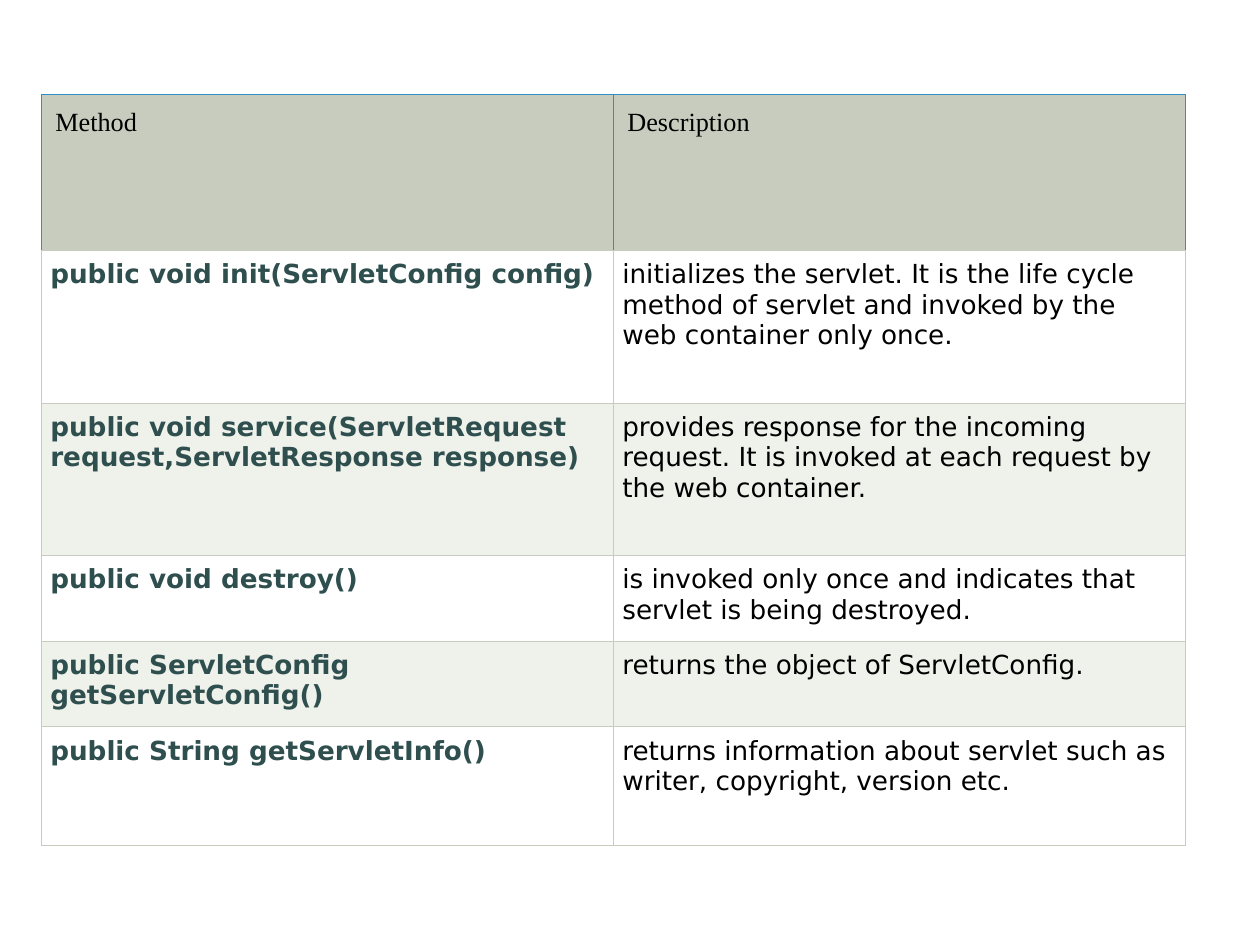
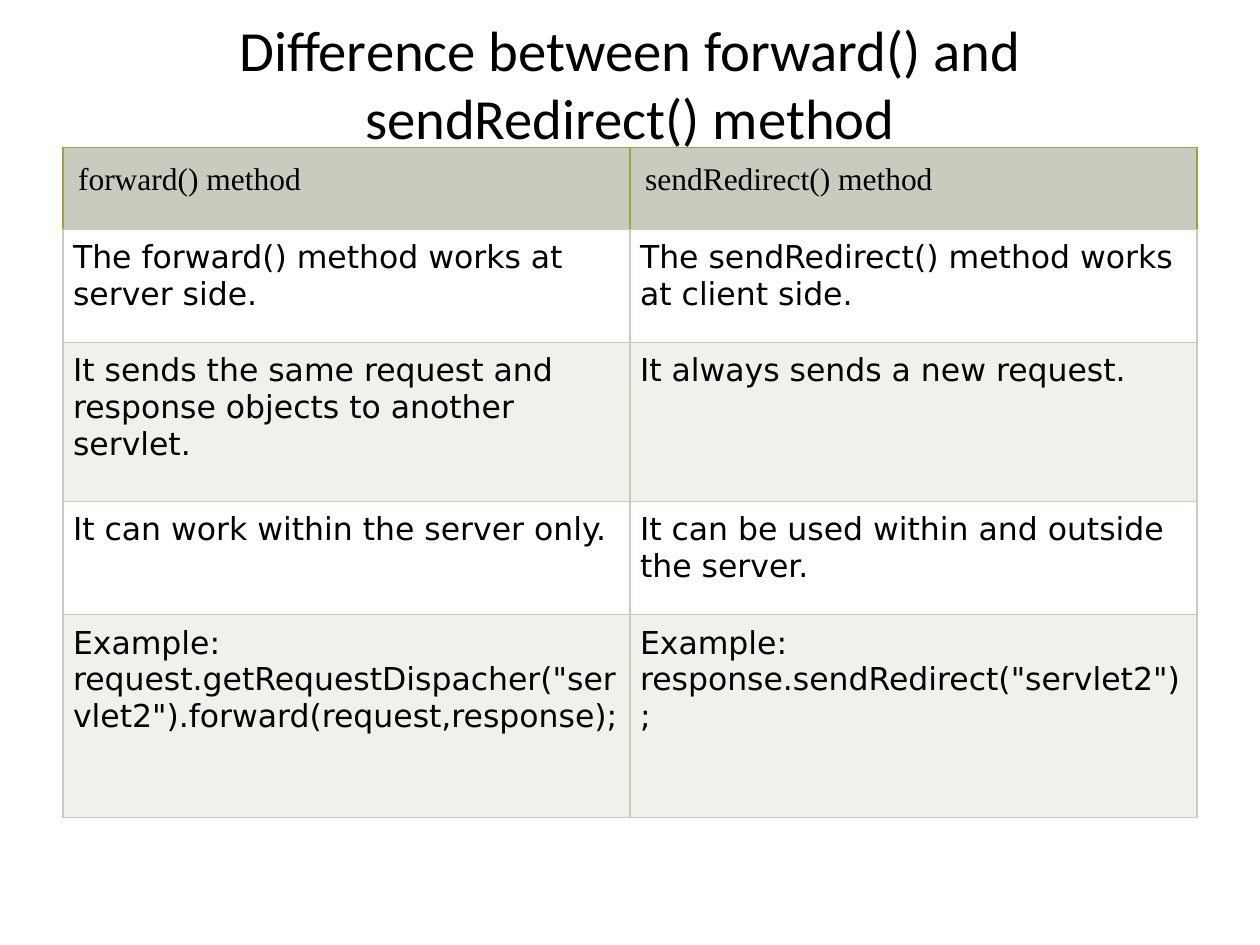
import pptx
import pptx.util
import pptx.dml.color
import pptx.enum.text
import pptx.oxml.ns
import lxml.etree

Inches = pptx.util.Inches
Pt = pptx.util.Pt

COLORS = {
    "text": "000000",
    "method": "2F4F4F",
    "header": "C7CCBE",
    "grid": "C7CCBE",
    "plain": "FFFFFF",
    "band": "EFF1EB",
    "blue": "3090C5",
    "olive": "A0A23E",
}
FONTS = {"title": "Calibri", "header": "Times New Roman", "body": "DejaVu Sans"}
TITLE_ONLY, BLANK = 5, 6
BORDER_WIDTH = Pt(0.75)

SLIDES = [
    {
        "title": None,
        "table": {
            "left": 0.33, "top": 0.75, "width": 9.08,
            "heights": [1.24, 1.21, 1.21, 0.68, 0.68, 0.94],
            "size": 15, "header_inset": 0.11, "body_inset": 0.07,
            "header_line": "blue", "method_column": True,
            "rows": [
                ("Method", "Description"),
                ("public void init(ServletConfig config)",
                 "initializes the servlet. It is the life cycle method of servlet "
                 "and invoked by the web container only once."),
                ("public void service(ServletRequest request,ServletResponse response)",
                 "provides response for the incoming request. It is invoked at each "
                 "request by the web container."),
                ("public void destroy()",
                 "is invoked only once and indicates that servlet is being destroyed."),
                ("public ServletConfig getServletConfig()",
                 "returns the object of ServletConfig."),
                ("public String getServletInfo()",
                 "returns information about servlet such as writer, copyright, version etc."),
            ],
        },
    },
    {
        "title": "Difference between forward() and sendRedirect() method",
        "table": {
            "left": 0.5, "top": 1.17, "width": 9,
            "heights": [0.65, 0.9, 1.26, 0.9, 1.61],
            "size": 18, "header_inset": 0.12, "body_inset": 0.08,
            "header_line": "olive", "method_column": False,
            "rows": [
                ("forward() method", "sendRedirect() method"),
                ("The forward() method works at server side.",
                 "The sendRedirect() method works at client side."),
                ("It sends the same request and response objects to another servlet.",
                 "It always sends a new request."),
                ("It can work within the server only.",
                 "It can be used within and outside the server."),
                ('Example: request.getRequestDispacher("servlet2").forward(request,response);',
                 'Example: response.sendRedirect("servlet2");'),
            ],
        },
    },
]


def rgb(name):
    return pptx.dml.color.RGBColor.from_string(COLORS[name])


def add_run(para, text, font, size, color, bold=False):
    span = para.add_run()
    span.text = text
    span.font.name = FONTS[font]
    span.font.size = Pt(size)
    span.font.bold = bold
    span.font.color.rgb = rgb(color)


def set_borders(cell, line_colors):
    qn = pptx.oxml.ns.qn
    properties = cell._tc.get_or_add_tcPr()
    for position, (side, color) in enumerate(line_colors.items()):
        line = lxml.etree.Element(qn("a:ln" + side), w=str(BORDER_WIDTH))
        fill = lxml.etree.SubElement(line, qn("a:solidFill"))
        lxml.etree.SubElement(fill, qn("a:srgbClr"), val=COLORS[color])
        properties.insert(position, line)


def add_title(page, text):
    box = page.shapes.title
    box.left, box.top, box.width, box.height = map(Inches, (0.5, 0.03, 9, 1.25))
    frame = box.text_frame
    frame.word_wrap = True
    frame.auto_size = pptx.enum.text.MSO_AUTO_SIZE.NONE
    frame.vertical_anchor = pptx.enum.text.MSO_ANCHOR.MIDDLE
    para = frame.paragraphs[0]
    para.alignment = pptx.enum.text.PP_ALIGN.CENTER
    add_run(para, text, "title", 32.4, "text")


def fill_cell(cell, text, row, column, design):
    is_header = row == 0
    inset = Inches(design["header_inset" if is_header else "body_inset"])
    cell.margin_left = cell.margin_right = inset
    cell.margin_top = cell.margin_bottom = inset
    cell.fill.solid()
    background = "header" if is_header else "plain" if row % 2 else "band"
    cell.fill.fore_color.rgb = rgb(background)
    line_colors = dict.fromkeys("LRTB", "grid")
    if is_header:
        line_colors.update(dict.fromkeys("LRT", design["header_line"]))
    set_borders(cell, line_colors)
    is_method = design["method_column"] and column == 0 and not is_header
    add_run(cell.text_frame.paragraphs[0], text,
            "header" if is_header else "body", design["size"],
            "method" if is_method else "text", is_method)


def add_table(page, design):
    rows, heights = design["rows"], design["heights"]
    columns = len(rows[0])
    table = page.shapes.add_table(
        len(rows), columns, Inches(design["left"]), Inches(design["top"]),
        Inches(design["width"]), Inches(sum(heights))).table
    for column in table.columns:
        column.width = Inches(design["width"] / columns)
    for row, (texts, height) in enumerate(zip(rows, heights)):
        table.rows[row].height = Inches(height)
        for column, text in enumerate(texts):
            fill_cell(table.cell(row, column), text, row, column, design)


deck = pptx.Presentation()
deck.slide_width, deck.slide_height = Inches(10), Inches(7.5)
for content in SLIDES:
    layout = TITLE_ONLY if content["title"] else BLANK
    page = deck.slides.add_slide(deck.slide_layouts[layout])
    if content["title"]:
        add_title(page, content["title"])
    add_table(page, content["table"])
deck.save("out.pptx")
